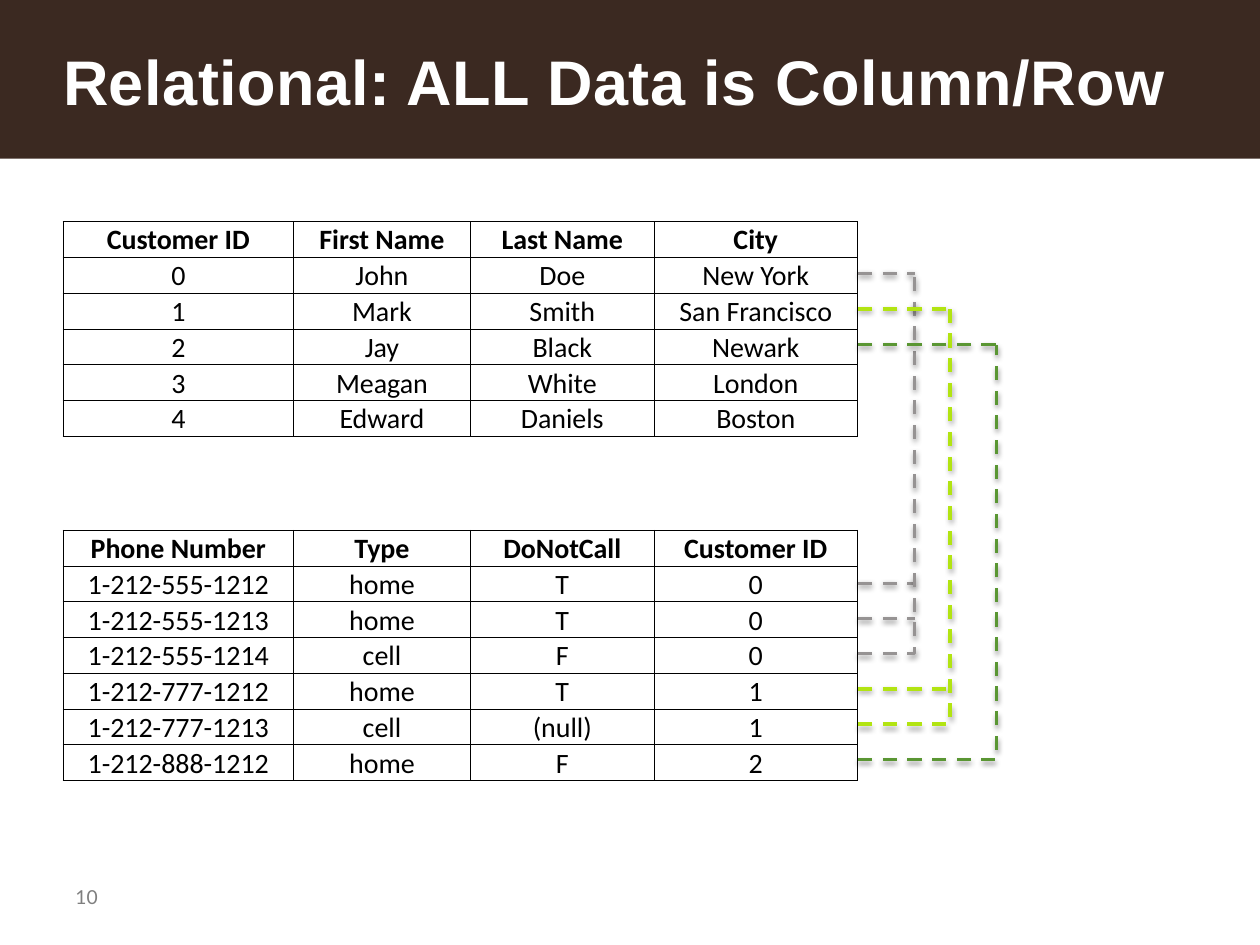
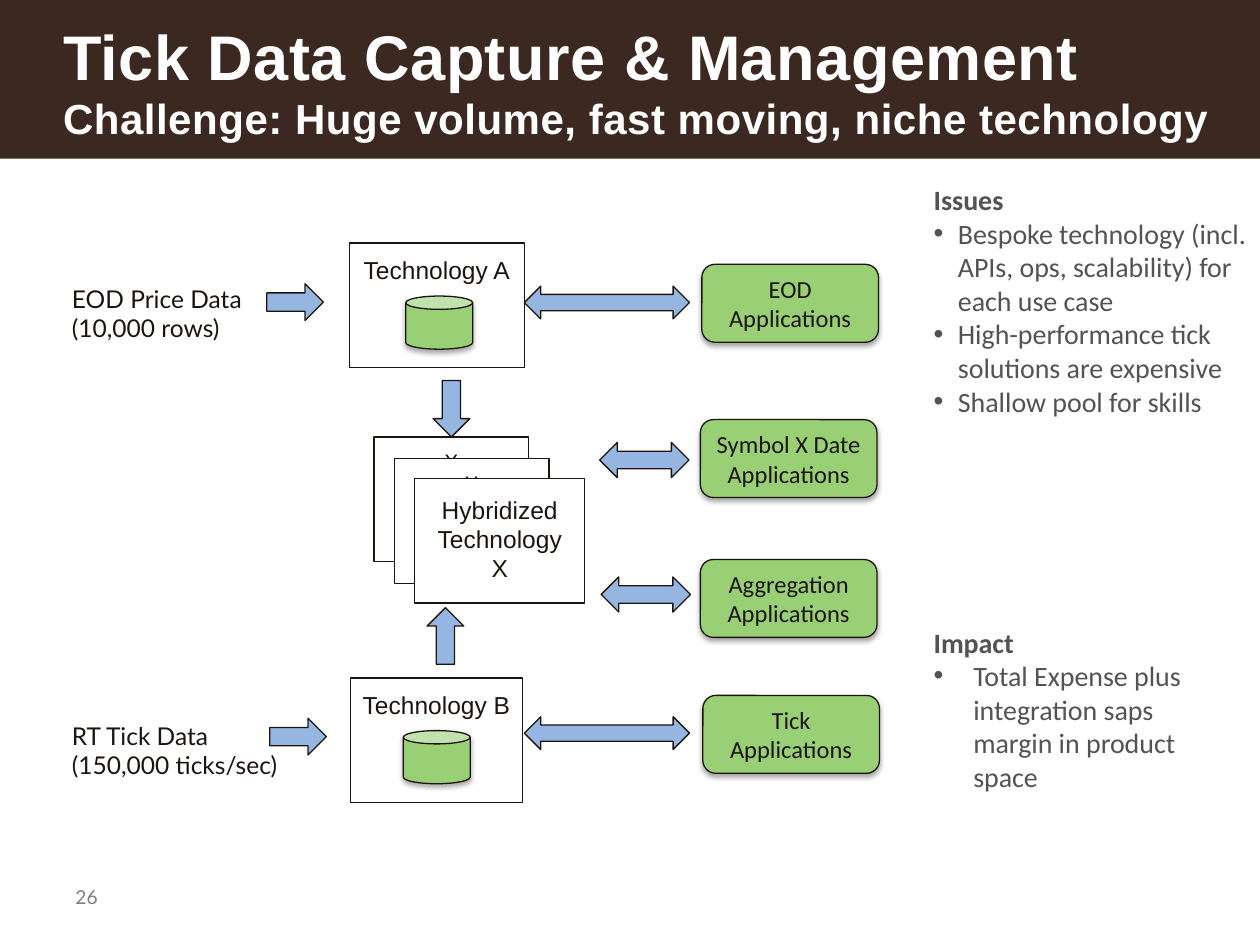
import pptx
import pptx.util
import pptx.dml.color
import pptx.enum.dml
import pptx.enum.shapes
import pptx.enum.text
import pptx.oxml
import pptx.oxml.ns

Cm, Pt = pptx.util.Cm, pptx.util.Pt
KIND = pptx.enum.shapes.MSO_SHAPE
LINK = pptx.enum.shapes.MSO_CONNECTOR
ALIGN = pptx.enum.text.PP_ALIGN
ANCHOR = pptx.enum.text.MSO_ANCHOR
qn = pptx.oxml.ns.qn

BAND, INK, GREY, BODY = "3B2921", "1D1410", "7F7F7F", "535353"
WHITE, BLACK, BLUE, GREEN = "FFFFFF", "000000", "95B6E0", "99D075"

PEOPLE = [
    ("Customer ID", "First Name", "Last Name", "City"),
    ("0", "John", "Doe", "New York"),
    ("1", "Mark", "Smith", "San Francisco"),
    ("2", "Jay", "Black", "Newark"),
    ("3", "Meagan", "White", "London"),
    ("4", "Edward", "Daniels", "Boston"),
]
PHONES = [
    ("Phone Number", "Type", "DoNotCall", "Customer ID"),
    ("1-212-555-1212", "home", "T", "0"),
    ("1-212-555-1213", "home", "T", "0"),
    ("1-212-555-1214", "cell", "F", "0"),
    ("1-212-777-1212", "home", "T", "1"),
    ("1-212-777-1213", "cell", "(null)", "1"),
    ("1-212-888-1212", "home", "F", "2"),
]
WIDTHS = (4.65, 3.56, 3.71, 4.09)
LEFT, EDGE, ROW = 1.27, 17.3, 0.71
LINKS = {"0": ("969393", 18.44), "1": ("B2E412", 19.15), "2": ("5A9633", 20.09)}

FEEDS = [
    (5.72, ["EOD Price Data", "(10,000 rows)"]),
    (14.53, ["RT Tick Data", "(150,000 ticks/sec)"]),
]
BOXES = [
    (7.04, 4.9, 3.53, "Technology A", 14, 0.24),
    (7.06, 13.67, 3.48, "Technology B", 14, 0.24),
    (7.54, 8.81, 3.12, "X", 12, 0.24),
    (7.95, 9.25, 3.12, "X", 12, 0.24),
    (8.36, 9.65, 3.43, ["Hybridized", "Technology X"], 14, 0.32),
]
STORES = [(8.18, 5.97), (8.13, 14.73)]
APPS = [
    (14.15, 5.33, "EOD Applications"),
    (14.12, 8.46, ["Symbol X Date", "Applications"]),
    (14.12, 11.28, ["Aggregation", "Applications"]),
    (14.17, 14.02, ["Tick", "Applications"]),
]
FLOWS = [(5.38, 5.72, 0), (5.44, 14.48, 0), (8.53, 7.87, 90), (8.41, 12.45, 270)]
SWAPS = [(10.57, 5.77, 3.33, 0.66), (10.57, 14.45, 3.33, 0.66),
         (12.09, 8.92, 1.8, 0.71), (12.12, 11.63, 1.8, 0.71)]
NOTES = [
    ((18.82, 3.68, 6.58, 4.78), 0.49, "Issues",
     ["Bespoke technology (incl. APIs, ops, scalability) for each use case",
      "High-performance tick solutions are expensive",
      "Shallow pool for skills"]),
    ((18.82, 12.6, 6.05, 5.46), 0.8, "Impact",
     ["Total Expense plus integration saps margin in product space"]),
]


def hue(code):
    """Turn a hex string into a colour."""
    return pptx.dml.color.RGBColor.from_string(code)


def place(shape, *box):
    """Move a shape to a box given in centimetres."""
    shape.left, shape.top, shape.width, shape.height = map(Cm, box)


def write(frame, lines, font="Calibri", size=14, color=INK, bold=False,
          align=ALIGN.LEFT, sizes=(), spread=0, inset=None, anchor=None, hang=None):
    """Fill a frame with lines; a hang makes all lines after the first bullets."""
    frame.word_wrap = True
    frame.auto_size = pptx.enum.text.MSO_AUTO_SIZE.NONE
    if anchor is not None:
        frame.vertical_anchor = anchor
    if inset is not None:
        (frame.margin_left, frame.margin_top,
         frame.margin_right, frame.margin_bottom) = map(Cm, inset)
    for i, line in enumerate([lines] if isinstance(lines, str) else lines):
        para = frame.paragraphs[0] if i == 0 else frame.add_paragraph()
        para.alignment = align
        para.space_before = Pt(0)
        if hang is not None:
            props = para._p.get_or_add_pPr()
            dent = Cm(hang) if i else 0
            props.set("marL", str(dent))
            props.set("indent", str(-dent))
            mark = props.makeelement(qn("a:buChar" if i else "a:buNone"), {})
            if i:
                mark.set("char", "•")
            props.append(mark)
        run = para.add_run()
        run.text = line
        run.font.name = font
        run.font.size = Pt(sizes[i] if sizes else size)
        run.font.bold = bold if hang is None else i == 0
        run.font.color.rgb = hue(color)
        if spread:
            run._r.get_or_add_rPr().set("spc", str(spread))


def shade(shape, alpha, drop):
    """Give a shape or connector a soft shadow straight below it."""
    props = shape._element.spPr
    for old in props.findall(qn("a:effectLst")):
        props.remove(old)
    props.append(pptx.oxml.parse_xml(
        f'<a:effectLst {pptx.oxml.ns.nsdecls("a")}><a:outerShdw blurRad="{Pt(3.1)}" '
        f'dist="{Pt(drop)}" dir="5400000" rotWithShape="0"><a:srgbClr val="{BLACK}">'
        f'<a:alpha val="{alpha * 1000}"/></a:srgbClr></a:outerShdw></a:effectLst>'))


def draw(slide, kind, box, fill, line=INK):
    """Add a flat preset shape."""
    shape = slide.shapes.add_shape(kind, *map(Cm, box))
    shape.shadow.inherit = False
    shape.fill.solid()
    shape.fill.fore_color.rgb = hue(fill)
    if line:
        shape.line.color.rgb = hue(line)
        shape.line.width = Pt(0.75)
    else:
        shape.line.fill.background()
    return shape


def label(slide, box, lines, **style):
    """Add a text box."""
    write(slide.shapes.add_textbox(*map(Cm, box)).text_frame, lines, **style)


def start(deck, layout, number, lines, width):
    """Add a slide with its title and number."""
    slide = deck.slides.add_slide(deck.slide_layouts[layout])
    place(slide.shapes.title, 1.27, 0.03, width, 3.18)
    write(slide.shapes.title.text_frame, lines, font="Arial", color=WHITE, bold=True,
          sizes=(36, 24), spread=30, inset=(0, 0, 0, 0), anchor=ANCHOR.MIDDLE)
    label(slide, (1.27, 17.73, 5.94, 0.71), number, font="Lato", size=11, color=GREY)
    return slide


def rule(cell):
    """Draw thin black borders round a cell."""
    props = cell._tc.get_or_add_tcPr()
    for i, side in enumerate("LRTB"):
        props.insert(i, pptx.oxml.parse_xml(
            f'<a:ln{side} {pptx.oxml.ns.nsdecls("a")} w="{Pt(0.5)}"><a:solidFill>'
            f'<a:srgbClr val="{BLACK}"/></a:solidFill></a:ln{side}>'))


def grid(slide, top, rows):
    """Add a ruled table with a bold first row."""
    table = slide.shapes.add_table(
        len(rows), len(WIDTHS), Cm(LEFT), Cm(top), Cm(sum(WIDTHS)), Cm(ROW * len(rows))).table
    table.first_row = table.horz_banding = False
    for col, width in zip(table.columns, WIDTHS):
        col.width = Cm(width)
    for r, row in enumerate(rows):
        table.rows[r].height = Cm(ROW)
        for c, value in enumerate(row):
            cell = table.cell(r, c)
            cell.fill.background()
            rule(cell)
            cell.vertical_anchor = ANCHOR.MIDDLE
            cell.margin_left = cell.margin_top = cell.margin_right = Cm(0.03)
            cell.margin_bottom = 0
            write(cell.text_frame, value, size=16, color=BLACK, bold=r == 0,
                  align=ALIGN.CENTER)


def wire(slide, color, start, end):
    """Add a dashed link, with one corner when its ends differ in height."""
    bent = start[1] != end[1]
    line = slide.shapes.add_connector(
        LINK.ELBOW if bent else LINK.STRAIGHT, *map(Cm, start + end))
    if bent:
        line._element.spPr.find(qn("a:prstGeom")).set("prst", "bentConnector2")
    line.line.color.rgb = hue(color)
    line.line.width = Pt(2)
    line.line.dash_style = pptx.enum.dml.MSO_LINE.DASH
    shade(line, 38, 1.6)


def tables(deck):
    """Build the slide of linked tables."""
    slide = start(deck, 5, "10", "Relational: ALL Data is Column/Row", 22.86)
    grid(slide, 4.47, PEOPLE)
    grid(slide, 10.69, PHONES)
    for i, (key, (color, bus)) in enumerate(LINKS.items()):
        top = 5.51 + 0.72 * i
        calls = [11.76 + ROW * n for n, row in enumerate(PHONES[1:]) if row[-1] == key]
        for y in [top] + calls[:-1]:
            wire(slide, color, (EDGE, y), (bus, y))
        wire(slide, color, (EDGE, calls[-1]), (bus, top))


def ticks(deck):
    """Build the slide of data flows."""
    slide = start(deck, 3, "26", ["Tick Data Capture & Management",
                  "Challenge: Huge volume, fast moving, niche technology"], 23.62)
    for hold, (box, hang, head, items) in zip(list(slide.placeholders)[1:], NOTES):
        place(hold, *box)
        write(hold.text_frame, [head] + items, size=16, color=BODY,
              inset=(0, 0, 0, 0), anchor=ANCHOR.TOP, hang=hang)
    for top, lines in FEEDS:
        label(slide, (1.45, top, 8.41, 1.19), lines, font="Lato", inset=(0, 0, 0, 0))
    for x, y, width, lines, size, gap in BOXES:
        box = draw(slide, KIND.RECTANGLE, (x, y, width, 2.51), WHITE)
        write(box.text_frame, lines, font="Arial", size=size, align=ALIGN.CENTER,
              inset=(0.25, gap, 0.25, 0), anchor=ANCHOR.TOP)
    for x, y in STORES:
        shade(draw(slide, KIND.CAN, (x, y, 1.35, 1.07), GREEN), 35, 1.8)
    for x, y, lines in APPS:
        card = draw(slide, KIND.ROUNDED_RECTANGLE, (x, y, 3.56, 1.57), GREEN)
        shade(card, 35, 1.8)
        write(card.text_frame, lines, align=ALIGN.CENTER, anchor=ANCHOR.MIDDLE)
    for x, y, turn in FLOWS:
        draw(slide, KIND.RIGHT_ARROW, (x, y, 1.14, 0.74), BLUE).rotation = turn
    for box in SWAPS:
        draw(slide, KIND.LEFT_RIGHT_ARROW, box, BLUE)


def main():
    """Build and save the deck."""
    deck = pptx.Presentation()
    deck.slide_width, deck.slide_height = Cm(25.4), Cm(19.05)
    tables(deck)
    ticks(deck)
    band = draw(deck.slides[0], KIND.RECTANGLE, (0, 0, 25.4, 3.2), BAND, line=None)
    deck.slide_master.shapes._spTree.insert(2, band._element)
    deck.save("out.pptx")


if __name__ == "__main__":
    main()
